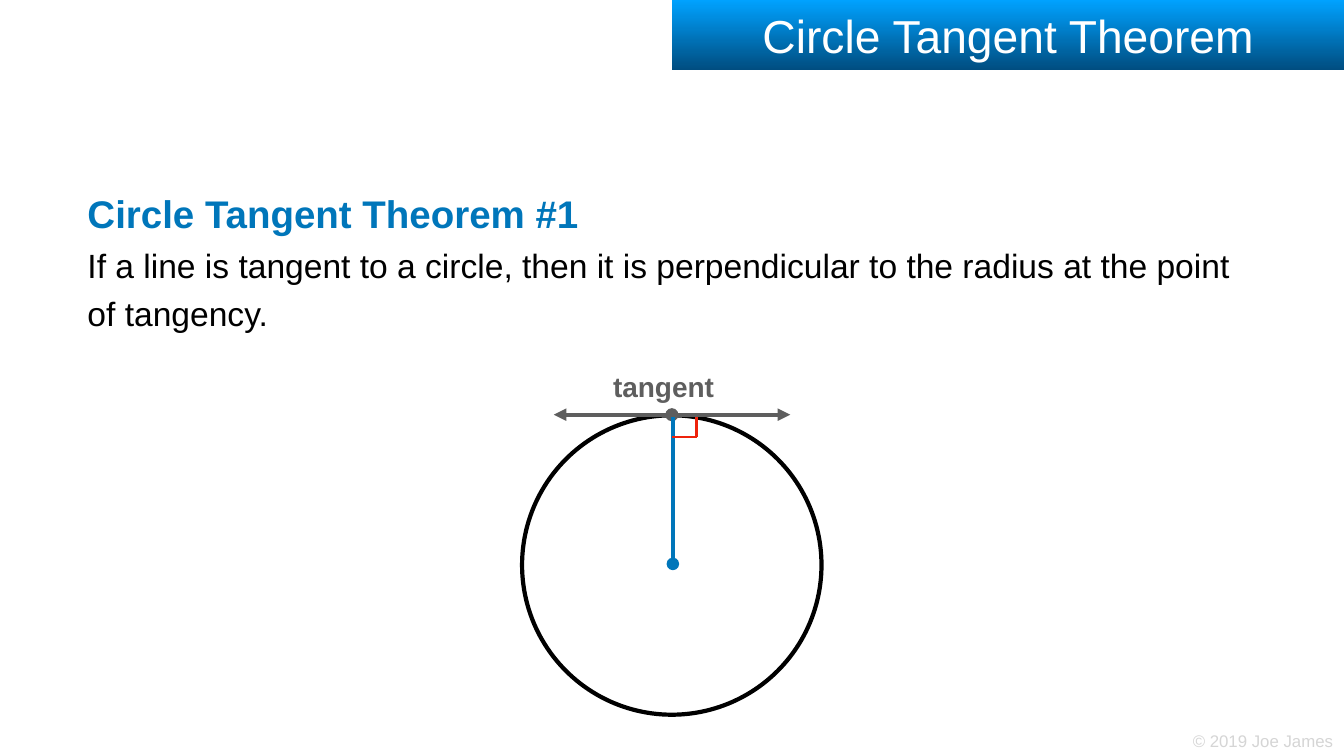
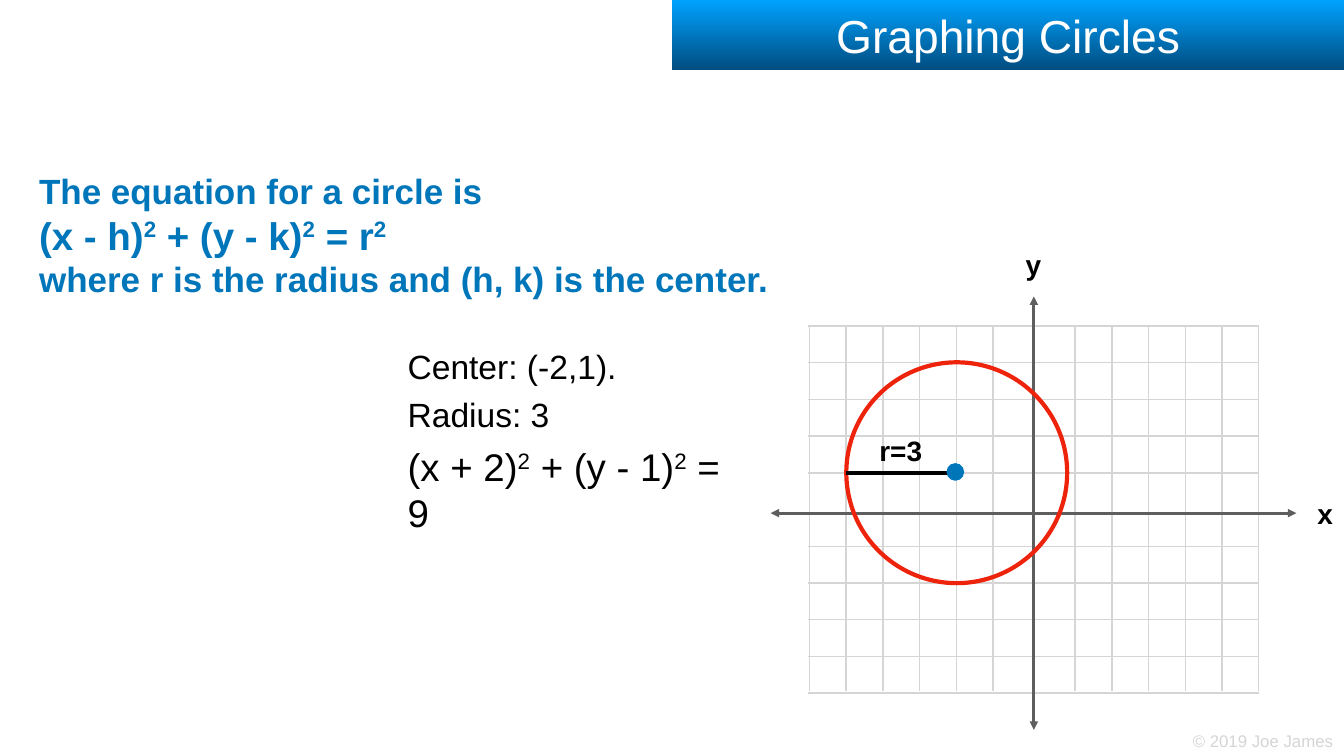
from pptx import Presentation
from pptx.dml.color import RGBColor
from pptx.enum.shapes import MSO_CONNECTOR, MSO_SHAPE
from pptx.enum.text import MSO_ANCHOR, MSO_AUTO_SIZE, PP_ALIGN
from pptx.oxml.ns import qn
from pptx.util import Cm, Pt
from lxml import etree

STRAIGHT = MSO_CONNECTOR.STRAIGHT
ELLIPSE = MSO_SHAPE.OVAL
TOP, MIDDLE = MSO_ANCHOR.TOP, MSO_ANCHOR.MIDDLE
LEFT, CENTER = PP_ALIGN.LEFT, PP_ALIGN.CENTER

FONT = "Arial"
WHITE = RGBColor(0xFF, 0xFF, 0xFF)
BLACK = RGBColor(0x00, 0x00, 0x00)
BLUE = RGBColor(0x00, 0x76, 0xBA)
BAND_TOP = RGBColor(0x00, 0xA2, 0xFF)
BAND_BOTTOM = RGBColor(0x00, 0x4D, 0x80)
RED = RGBColor(0xEE, 0x23, 0x0C)
DARK_GRAY = RGBColor(0x5E, 0x5E, 0x5E)
LIGHT_GRAY = RGBColor(0xD5, 0xD5, 0xD5)


def write(box, paragraphs, color=BLACK, bold=False, align=LEFT, anchor=MIDDLE,
          wrap=True, space=0, spacing=None):
    """Append paragraphs, each a list of (text, size) lines; ^2^ raises the 2."""
    frame = box.text_frame
    frame.auto_size = MSO_AUTO_SIZE.NONE
    frame.word_wrap = wrap
    frame.vertical_anchor = anchor
    frame.margin_left = frame.margin_right = Cm(0.14)
    frame.margin_top = frame.margin_bottom = Cm(0.14)
    for lines in paragraphs:
        if frame.text:
            para = frame.add_paragraph()
            para.space_before = Pt(space)
        else:
            para = frame.paragraphs[0]
            para.space_before = Pt(0)
        para.alignment = align
        para.line_spacing = spacing
        for row, (text, size) in enumerate(lines):
            if row:
                para.add_line_break()
            for index, piece in enumerate(text.split("^")):
                if not piece:
                    continue
                span = para.add_run()
                span.text = piece
                span.font.name = FONT
                span.font.size = Pt(size)
                span.font.bold = bold
                span.font.color.rgb = color
                if index % 2:
                    span._r.get_or_add_rPr().set("baseline", "32000")


def draw_line(page, x1, y1, x2, y2, color, width, head=None, tail=None):
    line = page.shapes.add_connector(STRAIGHT, Cm(x1), Cm(y1), Cm(x2), Cm(y2))
    line.line.color.rgb = color
    line.line.width = Pt(width)
    properties = line._element.spPr
    outline = properties.find(qn("a:ln"))
    for tag, kind in (("a:headEnd", head), ("a:tailEnd", tail)):
        if kind:
            etree.SubElement(outline, qn(tag)).set("type", kind)
    etree.SubElement(properties, qn("a:effectLst"))


deck = Presentation()
deck.slide_width, deck.slide_height = Cm(67.73), Cm(38.1)
layout = deck.slide_layouts[5]

# Slides with their title bands
pages = []
for title in ("Circle Tangent Theorem", "Graphing Circles"):
    page = deck.slides.add_slide(layout)
    band = page.shapes.title
    band.left, band.top, band.width, band.height = Cm(33.87), Cm(0), Cm(33.87), Cm(3.53)
    band.fill.gradient()
    band.fill.gradient_angle = 270
    for stop, color in zip(band.fill.gradient_stops, (BAND_TOP, BAND_BOTTOM)):
        stop.color.rgb = color
    band.fill.gradient_stops[0].position = 0
    band.fill.gradient_stops[1].position = 1
    write(band, [[(title, 66)]], color=WHITE, align=CENTER)
    pages.append(page)
theorem, graph = pages

# The copyright line belongs to the layout, so both slides show it
footer = theorem.shapes.add_textbox(Cm(59.97), Cm(36.7), Cm(7.39), Cm(1.24))
write(footer, [[("© 2019 Joe James", 24)]], color=LIGHT_GRAY, wrap=False)
layout.shapes._spTree.append(footer._element)

# Theorem statement
statement = theorem.shapes.add_textbox(Cm(4.27), Cm(8.99), Cm(58.67), Cm(7.52))
write(statement, [[("Circle Tangent Theorem #1", 55)]], color=BLUE, bold=True,
      anchor=TOP, spacing=1.2)
write(statement, [[("If a line is tangent to a circle, then it is perpendicular "
                    "to the radius at the point of tangency.", 48)]],
      anchor=TOP, spacing=1.2)

# Coordinate grid: the x axis replaces the sixth row
PITCH = 1.85
for row in range(11):
    if row != 5:
        y = 16.43 + row * PITCH
        draw_line(graph, 40.74, y, 63.46, y, LIGHT_GRAY, 2)
for block_left in (40.79, 54.18):
    for column in range(6):
        x = block_left + column * PITCH
        draw_line(graph, x, 16.38, x, 34.82, LIGHT_GRAY, 2)
draw_line(graph, 38.84, 25.86, 65.33, 25.86, DARK_GRAY, 4, "triangle", "triangle")
draw_line(graph, 52.1, 14.94, 52.1, 36.78, DARK_GRAY, 4, "triangle", "triangle")

# Equation and worked example
equation = graph.shapes.add_textbox(Cm(1.83), Cm(8.41), Cm(40.79), Cm(9.68))
write(equation, [[("The equation for a circle is", 50),
                  ("(x - h)^2^ + (y - k)^2^ = r^2^", 55),
                  ("where r is the radius and (h, k) is the center.", 50)]],
      color=BLUE, bold=True, anchor=TOP)
example = graph.shapes.add_textbox(Cm(20.4), Cm(18.49), Cm(17.55), Cm(7.42))
write(example, [[("Center: (-2,1).", 48)], [("Radius: 3", 48)],
                [("(x + 2)^2^ + (y - 1)^2^ = 9", 55)]], space=12)

# Circles
for page, left, top, diameter, fill, color in (
        (theorem, 26.31, 20.93, 15.09, WHITE, BLACK),
        (graph, 42.65, 18.26, 11.13, None, RED)):
    circle = page.shapes.add_shape(ELLIPSE, Cm(left), Cm(top), Cm(diameter), Cm(diameter))
    circle.shadow.inherit = False
    if fill is None:
        circle.fill.background()
    else:
        circle.fill.solid()
        circle.fill.fore_color.rgb = fill
    circle.line.color.rgb = color
    circle.line.width = Pt(6)

# Tangent, and the radius on the graph
draw_line(theorem, 27.91, 20.9, 39.83, 20.9, DARK_GRAY, 6, "triangle", "triangle")
draw_line(graph, 42.62, 23.83, 48.16, 23.83, BLACK, 6)

# Point of tangency and centre of the graphed circle
for page, left, top, diameter, color in ((theorem, 33.53, 20.57, 0.66, DARK_GRAY),
                                         (graph, 47.7, 23.34, 0.89, BLUE)):
    dot = page.shapes.add_shape(ELLIPSE, Cm(left), Cm(top), Cm(diameter), Cm(diameter))
    dot.shadow.inherit = False
    dot.fill.solid()
    dot.fill.fore_color.rgb = color
    dot.line.fill.background()

# Radius of the tangent circle with its right-angle mark
draw_line(theorem, 33.91, 28.42, 33.91, 21.03, BLUE, 6, head="oval")
draw_line(theorem, 33.86, 22.02, 35.13, 22.02, RED, 3)
draw_line(theorem, 35.1, 21, 35.1, 22.04, RED, 3)

# Labels
for page, text, left, top, width, color in (
        (theorem, "tangent", 30.71, 18.47, 5.46, DARK_GRAY),
        (graph, "x", 66.24, 24.87, 1.07, BLACK),
        (graph, "y", 51.56, 12.34, 1.04, BLACK),
        (graph, "r=3", 44.15, 21.72, 2.49, BLACK)):
    label = page.shapes.add_textbox(Cm(left), Cm(top), Cm(width), Cm(1.98))
    write(label, [[(text, 40)]], color=color, bold=True, align=CENTER, wrap=False)

deck.save("out.pptx")
